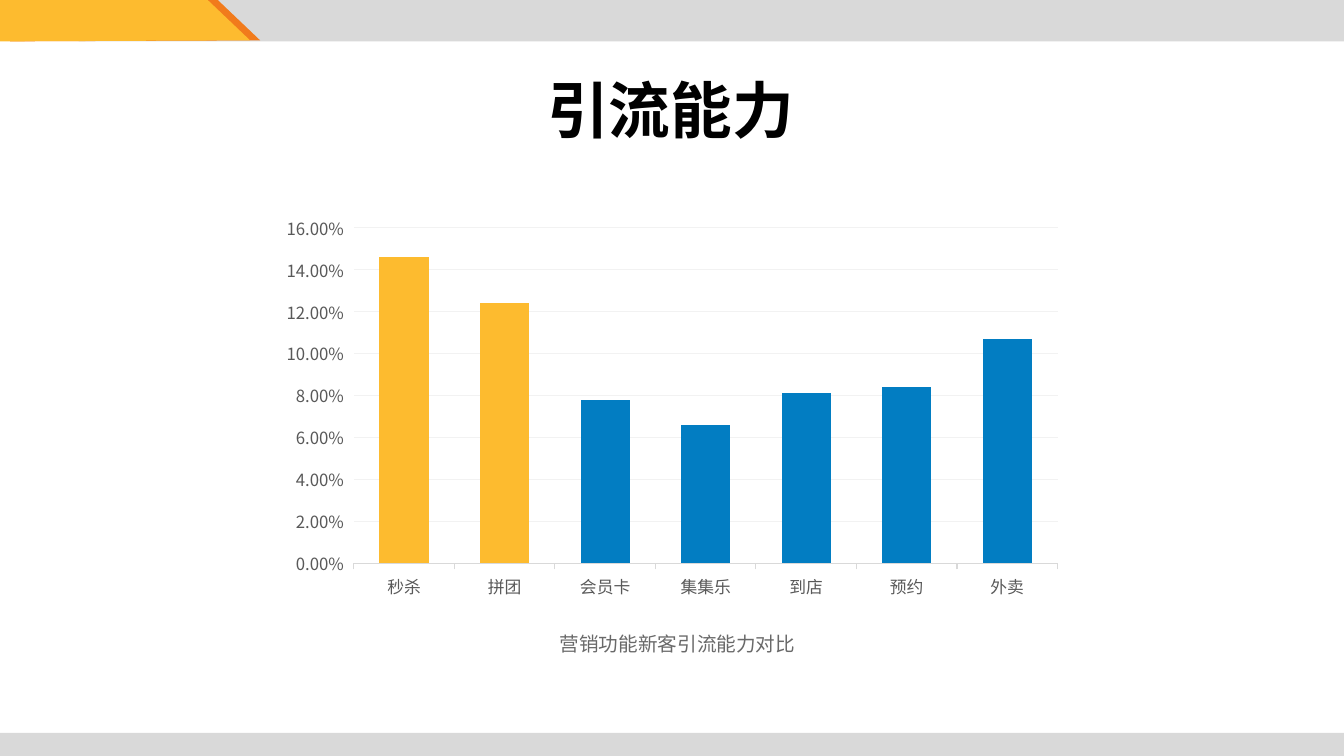
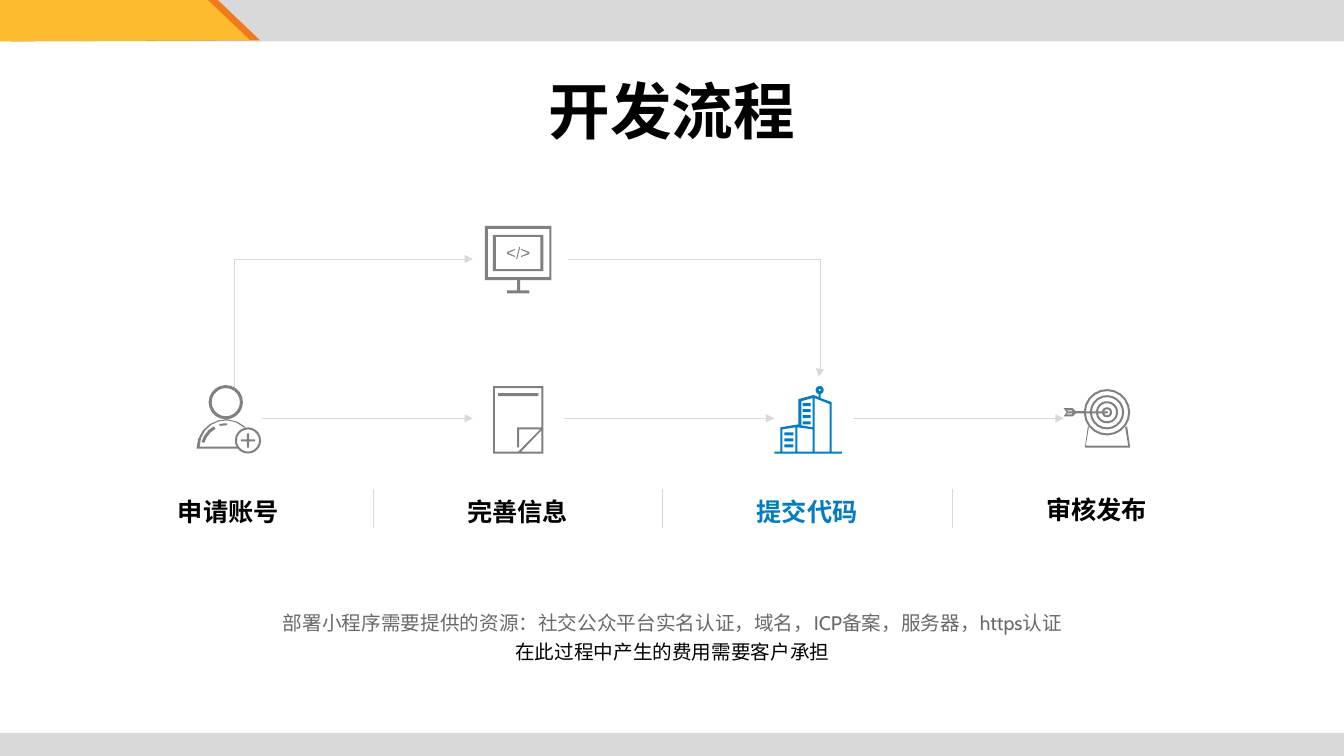
import math

import lxml.etree
import pptx
import pptx.chart.data
import pptx.dml.color
import pptx.enum.chart
import pptx.enum.shapes
import pptx.enum.text
import pptx.oxml
import pptx.oxml.ns
import pptx.util

Inches = pptx.util.Inches
Pt = pptx.util.Pt
RGBColor = pptx.dml.color.RGBColor
ALIGN = pptx.enum.text.PP_ALIGN
CONNECTOR = pptx.enum.shapes.MSO_CONNECTOR
qn = pptx.oxml.ns.qn

YELLOW = RGBColor(0xFD, 0xBB, 0x2F)
ORANGE = RGBColor(0xF1, 0x7B, 0x1C)
BLUE = RGBColor(0x02, 0x7D, 0xC2)
BLACK = RGBColor(0x00, 0x00, 0x00)
ICON_GREY = RGBColor(0x80, 0x80, 0x80)
CAPTION_GREY = RGBColor(0x69, 0x69, 0x69)
AXIS_GREY = RGBColor(0x59, 0x59, 0x59)
BAND_GREY = RGBColor(0xD9, 0xD9, 0xD9)
GRID_GREY = RGBColor(0xF2, 0xF2, 0xF2)

SANS = "Noto Sans CJK SC"
CABIN = "Cabin"


def apply(target, **values):
    for name, value in values.items():
        setattr(target, name, value)


def arc(cx, cy, radius, start=0, end=360):
    steps = max(3, round(abs(end - start) / 18))
    angles = [math.radians(start + (end - start) * i / steps) for i in range(steps + 1)]
    return [(cx + radius * math.cos(a), cy - radius * math.sin(a)) for a in angles]


def arc_band(cx, cy, outer, inner, start, end):
    return arc(cx, cy, outer, start, end) + arc(cx, cy, inner, end, start)


def split_ring(cx, cy, outer, inner, half_gap=0.01):
    far, near = (180 - math.degrees(math.asin(half_gap / r)) for r in (outer, inner))
    return arc(cx, cy, outer, far, -far) + arc(cx, cy, inner, -near, near)


def bar(left, top, right, bottom):
    return [(left, top), (right, top), (right, bottom), (left, bottom)]


class Deck:
    def __init__(self):
        self.show = pptx.Presentation()
        apply(self.show, slide_width=Inches(13.33), slide_height=Inches(7.5))
        self.slide = None

    def new_slide(self, title, top, align):
        self.slide = self.show.slides.add_slide(self.show.slide_layouts[6])
        self.band(0.78, 0, 12.55, 0.41)
        for left, color in ((0.1, ORANGE), (0, YELLOW)):
            self.outline(color, [(left, 0.41), (left + 2.48, 0.4),
                                 (left + 2.05, -0.01), (left, -0.01)])
        self.band(0, 7.27, 13.33, 0.24)
        self.text(5.33, top, 2.67, 0.84, [(title, SANS, BLACK)], size=44, bold=True, align=align)

    def paint(self, shape, color):
        shape.shadow.inherit = False
        shape.fill.solid()
        shape.fill.fore_color.rgb = color
        shape.line.fill.background()

    def band(self, left, top, width, height):
        box = map(Inches, (left, top, width, height))
        rectangle = pptx.enum.shapes.MSO_SHAPE.RECTANGLE
        self.paint(self.slide.shapes.add_shape(rectangle, *box), BAND_GREY)

    def outline(self, color, *contours):
        builder = None
        for contour in contours:
            first, *others = [(Inches(x), Inches(y)) for x, y in contour]
            if builder is None:
                builder = self.slide.shapes.build_freeform(*first, scale=1.0)
            else:
                builder.move_to(*first)
            builder.add_line_segments(others, close=True)
        self.paint(builder.convert_to_shape(), color)

    def text(self, left, top, width, height, lines, size, bold=False,
             wrap=False, spacing=None, grow=True, align=ALIGN.CENTER):
        box = self.slide.shapes.add_textbox(*map(Inches, (left, top, width, height)))
        fit = pptx.enum.text.MSO_AUTO_SIZE
        apply(box.text_frame, word_wrap=wrap,
              auto_size=fit.SHAPE_TO_FIT_TEXT if grow else fit.NONE)
        for i, (words, face, color) in enumerate(lines):
            paragraph = box.text_frame.add_paragraph() if i else box.text_frame.paragraphs[0]
            apply(paragraph, alignment=align, line_spacing=spacing)
            run = paragraph.add_run()
            run.text = words
            apply(run.font, size=Pt(size), bold=bold, name=face)
            run.font.color.rgb = color
            east_asian = lxml.etree.SubElement(run._r.get_or_add_rPr(), qn("a:ea"))
            east_asian.set("typeface", SANS)

    def connector(self, start, end, arrow=True, bend=None):
        kind = CONNECTOR.STRAIGHT if bend is None else CONNECTOR.ELBOW
        link = self.slide.shapes.add_connector(kind, *map(Inches, (*start, *end)))
        link.line.width = Pt(0.25)
        link.line.color.rgb = BAND_GREY
        properties = link._element.spPr
        if arrow:
            lxml.etree.SubElement(properties.find(qn("a:ln")), qn("a:tailEnd"), type="triangle")
        if bend is not None:
            geometry = properties.find(qn("a:prstGeom"))
            adjustments = geometry.find(qn("a:avLst"))
            if adjustments is None:
                adjustments = lxml.etree.SubElement(geometry, qn("a:avLst"))
            lxml.etree.SubElement(adjustments, qn("a:gd"), name="adj1", fmla=f"val {bend}")
        lxml.etree.SubElement(properties, qn("a:effectLst"))

    def column_chart(self, left, top, width, height, rates, highlighted):
        data = pptx.chart.data.CategoryChartData(number_format="0.00%")
        data.categories = list(rates)
        data.add_series("Series 1", list(rates.values()))
        chart = self.slide.shapes.add_chart(
            pptx.enum.chart.XL_CHART_TYPE.COLUMN_CLUSTERED,
            *map(Inches, (left, top, width, height)), data).chart
        apply(chart, has_legend=False, has_title=False)
        apply(chart.font, name=SANS, size=Pt(12))
        chart.font.color.rgb = AXIS_GREY
        plot = chart.plots[0]
        apply(plot, gap_width=104, overlap=-63, vary_by_categories=False)
        columns = plot.series[0]
        for i, column in enumerate([columns, *(columns.points[k] for k in range(highlighted))]):
            column.format.fill.solid()
            column.format.fill.fore_color.rgb = YELLOW if i else BLUE
        rate_axis, name_axis = chart.value_axis, chart.category_axis
        apply(rate_axis, minimum_scale=0, maximum_scale=0.16, major_unit=0.02,
              has_major_gridlines=True)
        apply(rate_axis.tick_labels, number_format="0.00%", number_format_is_linked=False)
        rate_axis.format.line.fill.background()
        for line, color in ((rate_axis.major_gridlines.format.line, GRID_GREY),
                            (name_axis.format.line, BAND_GREY)):
            line.color.rgb = color
            line.width = Pt(0.75)
        for axis in (rate_axis, name_axis):
            axis.major_tick_mark = pptx.enum.chart.XL_TICK_MARK.OUTSIDE
        self.place_plot(chart, x=0.83 / width, y=0.21 / height, w=6.98 / width, h=3.33 / height)

    def place_plot(self, chart, **fractions):
        area = chart._chartSpace.chart.plotArea
        for old in area.findall(qn("c:layout")):
            area.remove(old)
        layout = lxml.etree.Element(qn("c:layout"))
        manual = lxml.etree.SubElement(layout, qn("c:manualLayout"))
        settings = {"layoutTarget": "inner", "xMode": "edge", "yMode": "edge", **fractions}
        for name, value in settings.items():
            lxml.etree.SubElement(manual, qn(f"c:{name}"), val=str(value))
        area.insert(0, layout)

    def account_icon(self):
        shoulders = [*arc(2.24, 4.45, 0.29, 180, 47), *arc(2.24, 4.43, 0.26, 47, 180),
                     (1.97, 4.43), (2.34, 4.43), (2.36, 4.45)]
        plus = [(2.45, 4.3), (2.47, 4.3), (2.47, 4.36), (2.53, 4.36), (2.53, 4.38), (2.47, 4.38),
                (2.47, 4.44), (2.45, 4.44), (2.45, 4.38), (2.39, 4.38), (2.39, 4.36), (2.45, 4.36)]
        self.outline(ICON_GREY, arc(2.24, 3.99, 0.17), arc(2.24, 3.99, 0.14), shoulders,
                     arc(2.46, 4.37, 0.13), arc(2.46, 4.37, 0.11), plus,
                     arc_band(2.24, 4.45, 0.25, 0.22, 165, 118),
                     arc_band(2.24, 4.45, 0.25, 0.23, 105, 87))

    def document_icon(self):
        page = [(4.91, 3.85), (4.91, 4.48), (5.14, 4.48), (5.36, 4.26), (5.15, 4.26),
                (5.15, 4.44), (5.13, 4.44), (5.13, 4.24), (5.37, 4.24), (5.37, 3.85)]
        fold = [(5.37, 4.27), (5.17, 4.48), (5.37, 4.48)]
        self.outline(ICON_GREY, bar(4.89, 3.83, 5.39, 4.5), page, fold,
                     bar(4.94, 3.9, 5.34, 3.93))

    def monitor_icon(self):
        case = [(4.81, 2.24), (5.47, 2.24), (5.47, 2.78), (5.16, 2.78), (5.16, 2.88),
                (5.25, 2.88), (5.25, 2.91), (5.03, 2.91), (5.03, 2.88), (5.13, 2.88),
                (5.13, 2.78), (4.81, 2.78)]
        closing = [(5.17, 2.47), (5.25, 2.5), (5.25, 2.52), (5.17, 2.55), (5.17, 2.54),
                   (5.24, 2.51), (5.17, 2.48)]
        opening = [(10.28 - x, y) for x, y in closing]
        slash = [(5.15, 2.45), (5.16, 2.45), (5.13, 2.57), (5.12, 2.57)]
        self.outline(ICON_GREY, case, bar(4.84, 2.27, 5.45, 2.75), bar(4.89, 2.33, 5.39, 2.69),
                     bar(4.92, 2.35, 5.36, 2.67), opening, slash, closing)

    def building_icon(self):
        skyline = [(7.68, 4.5), (7.68, 4.48), (7.74, 4.48), (7.74, 4.24), (7.92, 4.21),
                   (7.92, 3.96), (8.07, 3.92), (8.12, 3.94), (8.12, 3.9),
                   *arc(8.13, 3.87, 0.04, 250, -70), (8.14, 3.9), (8.14, 3.95), (8.25, 3.99),
                   (8.25, 4.48), (8.35, 4.48), (8.35, 4.5)]
        walls = ([(7.89, 4.24), (7.76, 4.26), (7.76, 4.48), (7.89, 4.48)],
                 [(7.91, 4.24), (7.91, 4.48), (8.06, 4.48), (8.06, 4.26)],
                 [(8.06, 3.95), (7.95, 3.98), (7.95, 4.22), (8.06, 4.24)],
                 [(8.08, 3.95), (8.08, 4.48), (8.23, 4.48), (8.23, 4.01)])
        windows = [bar(left, top + 0.06 * i, right, top + 0.06 * i + 0.03)
                   for left, right, top, count in ((7.78, 7.87, 4.29, 3), (7.96, 8.04, 4, 4))
                   for i in range(count)]
        self.outline(BLUE, skyline, arc(8.13, 3.87, 0.01), *walls, *windows)

    def target_icon(self):
        center = (10.98, 4.09)
        board = [*arc(*center, 0.23, 177, -177), (10.67, 4.1), (10.64, 4.13), (10.55, 4.13),
                 (10.58, 4.09), (10.55, 4.05), (10.64, 4.05), (10.67, 4.08)]
        feather = [(10.58, 4.07), (10.63, 4.07), (10.64, 4.08), (10.59, 4.08)]
        stand = [(10.79, 4.23), (10.76, 4.44), (11.21, 4.44), (11.18, 4.23),
                 (11.16, 4.24), (11.19, 4.42), (10.77, 4.42), (10.8, 4.24)]
        gaps = [split_ring(*center, outer, inner)
                for outer, inner in ((0.21, 0.17), (0.15, 0.11), (0.09, 0.05), (0.03, 0.01))]
        self.outline(ICON_GREY, board, feather, [(x, 8.18 - y) for x, y in feather],
                     stand, *gaps)


def traffic_slide(deck):
    deck.new_slide("引流能力", 0.66, ALIGN.LEFT)
    rates = {"秒杀": 0.146, "拼团": 0.124, "会员卡": 0.078, "集集乐": 0.066,
             "到店": 0.081, "预约": 0.084, "外卖": 0.107}
    deck.column_chart(2.68, 2.05, 7.97, 3.96, rates, highlighted=2)
    deck.text(5.44, 6.22, 2.56, 0.34, [("营销功能新客引流能力对比", CABIN, CAPTION_GREY)], size=14)


def process_slide(deck):
    deck.new_slide("开发流程", 0.67, ALIGN.CENTER)
    for draw in (deck.account_icon, deck.document_icon, deck.monitor_icon,
                 deck.building_icon, deck.target_icon):
        draw()
    step_gap = 2.87
    steps = (("申请账号", BLACK, 4.87), ("完善信息", BLACK, 4.87),
             ("提交代码", BLUE, 4.87), ("审核发布", BLACK, 4.85))
    for i, (step, color, top) in enumerate(steps):
        deck.text(1.11 + step_gap * i, top, 2.31, 0.38, [(step, SANS, color)],
                  size=18, bold=True, grow=False)
    for i, start in enumerate((2.6, 5.59, 8.46)):
        deck.connector((start, 4.15), (start + 2.09, 4.15))
        divider = 3.7 + step_gap * i
        deck.connector((divider, 4.85), (divider, 5.24), arrow=False)
    deck.connector((2.3, 3.83), (4.69, 2.57), bend=1100)
    deck.connector((5.63, 2.57), (8.12, 3.74), bend=100500)
    deck.text(2.67, 5.97, 8, 0.64, [
        ("部署小程序需要提供的资源：社交公众平台实名认证，域名，ICP备案，服务器，https认证",
         CABIN, CAPTION_GREY),
        ("在此过程中产生的费用需要客户承担", SANS, BLACK),
    ], size=14, wrap=True, spacing=1.2)


def main():
    deck = Deck()
    traffic_slide(deck)
    process_slide(deck)
    deck.show.save("out.pptx")


if __name__ == "__main__":
    main()
